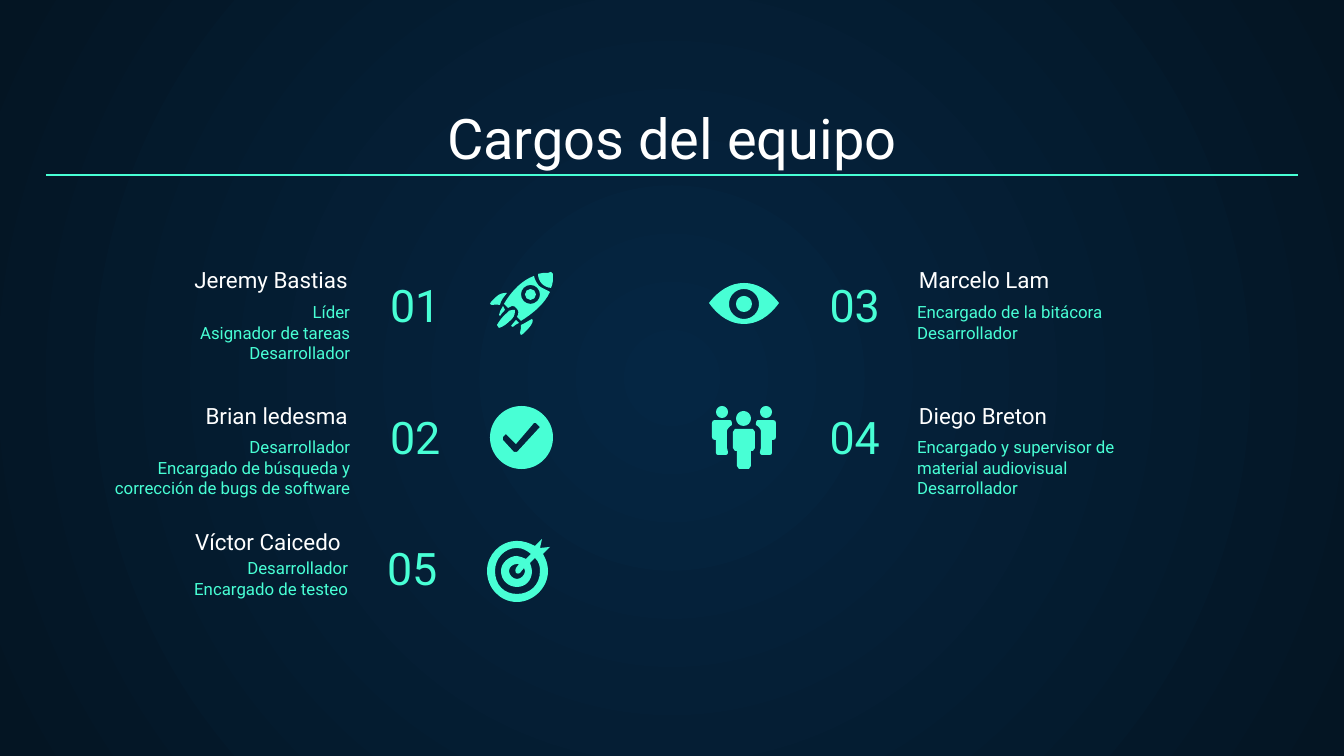
from lxml import etree
from pptx import Presentation
from pptx.dml.color import RGBColor
from pptx.enum.shapes import MSO_CONNECTOR
from pptx.enum.text import MSO_ANCHOR, MSO_AUTO_SIZE, PP_ALIGN
from pptx.oxml import parse_xml
from pptx.oxml.ns import qn
from pptx.util import Pt

EMU_PER_PX = 914400 / 134.4
MINT = RGBColor(0x48, 0xFF, 0xD5)
WHITE = RGBColor(0xFF, 0xFF, 0xFF)
CENTER_BLUE = RGBColor(0x05, 0x26, 0x43)
EDGE_BLUE = RGBColor(0x04, 0x15, 0x23)
FONT = "Roboto"
LEFT, CENTER, RIGHT = PP_ALIGN.LEFT, PP_ALIGN.CENTER, PP_ALIGN.RIGHT
TOP, BOTTOM = MSO_ANCHOR.TOP, MSO_ANCHOR.BOTTOM
NO_AUTOFIT = MSO_AUTO_SIZE.NONE
STRAIGHT = MSO_CONNECTOR.STRAIGHT
INSET = 13

LEFT_TEAM = [
    ("01", (377, 256), "Jeremy Bastias", (56, 278),
     ["Líder", "Asignador de tareas", "Desarrollador"], (67, 289)),
    ("02", (377, 388), "Brian ledesma", (56, 414),
     ["Desarrollador", "Encargado de búsqueda y corrección de bugs de software"], (67, 424)),
    ("05", (374, 519), "Víctor Caicedo", (49, 540),
     ["Desarrollador", "Encargado de testeo"], (65, 545)),
]
RIGHT_TEAM = [
    ("03", (720, 256), "Marcelo Lam", (906, 278),
     ["Encargado de la bitácora", "Desarrollador"], (904, 289)),
    ("04", (720, 388), "Diego Breton", (906, 414),
     ["Encargado y supervisor de material audiovisual", "Desarrollador"], (904, 424)),
]


def px(n):
    """Turn pixels into EMU."""
    return round(n * EMU_PER_PX)


def circle(x, y, d):
    """Return a circle in a box of side d as four cubic segments."""
    r = d / 2
    k, cx, cy = 0.55 * r, x + r, y + r
    return [(cx, y), (cx + k, y, x + d, cy - k, x + d, cy),
            (x + d, cy + k, cx + k, y + d, cx, y + d),
            (cx - k, y + d, x, cy + k, x, cy), (x, cy - k, cx - k, y, cx, y)]


def mirror(parts, axis):
    """Reflect an outline across a vertical axis."""
    return [tuple(v if i % 2 else 2 * axis - v for i, v in enumerate(part)) for part in parts]


def add_outline(shapes, *contours):
    """Add a filled outline of points (x, y) and cubics (x1, y1, x2, y2, x, y)."""
    builder = None
    for contour in contours:
        points = [(px(part[i]), px(part[i + 1]))
                  for part in contour for i in range(0, len(part), 2)]
        if builder is None:
            builder = shapes.build_freeform(*points[0])
        else:
            builder.move_to(*points[0])
        builder.add_line_segments(points[1:], close=True)
    sp = builder.convert_to_shape()
    lines = iter(list(sp._element.iter(qn("a:lnTo"))))
    for contour in contours:
        for part in contour[1:]:
            first = next(lines)
            if len(part) == 6:
                first.tag = qn("a:cubicBezTo")
                for line in (next(lines), next(lines)):
                    first.append(line[0])
                    line.getparent().remove(line)
    sp.shadow.inherit = False
    sp.fill.solid()
    sp.fill.fore_color.rgb = MINT
    sp.line.fill.background()


def set_text(sp, box, lines, size, color, align, anchor):
    """Place a text shape and format its paragraphs."""
    sp.left, sp.top, sp.width, sp.height = map(px, box)
    tf = sp.text_frame
    tf.word_wrap = True
    tf.auto_size = NO_AUTOFIT
    tf.vertical_anchor = anchor
    tf.margin_left = tf.margin_right = tf.margin_top = tf.margin_bottom = px(INSET)
    tf.text = "\n".join(lines)
    for p in tf.paragraphs:
        p.alignment = align
        p.space_before = Pt(0)
        p.font.name, p.font.size, p.font.bold = FONT, Pt(size), False
        p.font.color.rgb = color
        pPr = p._p.get_or_add_pPr()
        pPr.set("marL", "0")
        pPr.set("indent", "0")
        pPr.insert_element_before(pPr.makeelement(qn("a:buNone"), {}), "a:tabLst", "a:defRPr")


def add_text(s, *args):
    """Add a formatted text box."""
    set_text(s.shapes.add_textbox(0, 0, 0, 0), *args)


def add_member(s, member, bodies, name_align, number_align, roles_width):
    """Add the number, name and roles of one team member."""
    number, number_at, name, name_at, roles, roles_at = member
    add_text(s, (*number_at, 173, 89), [number], 24, MINT, number_align, BOTTOM)
    add_text(s, (*name_at, 305, 28), [name], 12, WHITE, name_align, BOTTOM)
    sp = bodies.pop(0) if bodies else s.shapes.add_textbox(0, 0, 0, 0)
    set_text(sp, (*roles_at, roles_width, 74), roles, 9, MINT, name_align, TOP)


def set_background(s):
    """Fill the background with a radial gradient."""
    bg = parse_xml(
        '<p:bg xmlns:p="http://schemas.openxmlformats.org/presentationml/2006/main" '
        'xmlns:a="http://schemas.openxmlformats.org/drawingml/2006/main"><p:bgPr><a:gradFill>'
        f'<a:gsLst><a:gs pos="0"><a:srgbClr val="{CENTER_BLUE}"/></a:gs>'
        f'<a:gs pos="100000"><a:srgbClr val="{EDGE_BLUE}"/></a:gs></a:gsLst>'
        '<a:path path="circle"><a:fillToRect l="50000" t="50000" r="50000" b="50000"/></a:path>'
        '</a:gradFill><a:effectLst/></p:bgPr></p:bg>')
    s._element.cSld.insert(0, bg)


def add_rule(s, x1, x2, y):
    """Add the line under the title."""
    line = s.shapes.add_connector(STRAIGHT, px(x1), px(y), px(x2), px(y))
    line.line.color.rgb = MINT
    line.line.width = Pt(0.75)
    etree.SubElement(line._element.spPr, qn("a:effectLst"))


def add_rocket(s):
    """Add the rocket icon as a group."""
    shapes = s.shapes.add_group_shape().shapes
    small_flames = [
        [(503, 306), (501, 310, 499, 312, 499, 315), (500, 316), (501, 314, 503, 312, 505, 310)],
        [(516, 320), (514, 322, 512, 325, 511, 326), (513, 327), (514, 326, 515, 325, 519, 323)]]
    flame = [(512, 310), (510, 310, 508, 311, 507, 313), (501, 318, 499, 322, 497, 325),
             (499, 328), (503, 327, 507, 324, 512, 319), (515, 316, 515, 312, 515, 310)]
    fins = [
        [(505, 293), (503, 293, 499, 294, 496, 297), (491, 302), (490, 304), (492, 305),
         (494, 305, 496, 304, 500, 305), (501, 300, 504, 297, 507, 293)],
        [(532, 319), (528, 321, 524, 324, 521, 325), (521, 328, 521, 330, 520, 333),
         (521, 335), (523, 334), (528, 329), (532, 325, 534, 320, 532, 319)]]
    nose = [(548, 273), (544, 273, 541, 273, 538, 274), (538, 277, 539, 281, 542, 284),
            (544, 286, 548, 288, 551, 288), (553, 284, 553, 280, 553, 274), (551, 272)]
    hull = [(534, 276), (523, 280, 512, 290, 504, 304), (508, 308),
            (509, 308, 511, 306, 512, 306), (514, 306, 516, 307, 516, 308),
            (519, 310, 519, 314, 517, 317), (521, 321), (532, 314, 544, 305, 550, 292),
            (547, 290, 543, 289, 539, 286), (536, 282, 535, 280, 534, 276)]
    for part in (*small_flames, flame, *fins, circle(525, 289, 11), nose):
        add_outline(shapes, part)
    add_outline(shapes, circle(521, 285, 19), hull)


def add_target(s):
    """Add the target icon with its arrow."""
    add_outline(
        s.shapes,
        [(517, 564), (519, 564), (516, 568), (515, 570, 515, 571, 516, 573),
         (517, 574, 519, 574, 520, 573), (524, 568), (525, 571),
         (525, 575, 521, 579, 517, 579), (513, 579, 509, 575, 509, 571),
         (509, 567, 513, 564, 517, 564)],
        [(517, 548), (523, 548, 527, 551, 531, 554), (526, 559),
         (523, 558, 520, 556, 517, 556), (509, 556, 501, 563, 501, 571),
         (501, 581, 509, 587, 517, 587), (525, 587, 532, 581, 532, 571),
         (532, 569, 531, 566, 530, 563), (535, 558), (539, 562, 540, 566, 540, 571),
         (540, 585, 530, 594, 517, 594), (504, 594, 495, 585, 495, 571),
         (495, 559, 504, 548, 517, 548)],
        [(542, 539), (535, 546), (529, 543, 524, 541, 517, 541),
         (500, 541, 487, 555, 487, 571), (487, 588, 500, 602, 517, 602),
         (533, 602, 548, 588, 548, 571), (548, 565, 546, 559, 543, 554),
         (550, 547), (540, 548)])


def add_people(s):
    """Add the icon of three people as a group."""
    shapes = s.shapes.add_group_shape().shapes
    head = circle(716, 406, 12)
    body = [(715, 420), (713, 420, 712, 421, 712, 423), (712, 437),
            (712, 439, 713, 440, 715, 440), (716, 440), (716, 453),
            (716, 454, 717, 455, 718, 455), (726, 455), (727, 455, 728, 454, 728, 453),
            (728, 452), (728, 450, 727, 449, 727, 448), (727, 431),
            (727, 429, 730, 426, 732, 425), (732, 423), (732, 421, 731, 420, 730, 420)]
    half = [(735, 429), (733, 432), (733, 448), (735, 451), (737, 451), (737, 466), (739, 469)]
    for part in (head, body, mirror(head, 744), mirror(body, 744),
                 half + mirror(half, 744)[::-1], circle(736, 411, 15)):
        add_outline(shapes, part)


def main():
    """Build the team roles slide."""
    prs = Presentation()
    prs.slide_width, prs.slide_height = px(1344), px(756)
    s = prs.slides.add_slide(prs.slide_layouts.get_by_name("Comparison"))
    set_background(s)
    set_text(s.shapes.title, (46, 95, 1252, 89), ["Cargos del equipo"], 30, WHITE, CENTER, BOTTOM)
    bodies = [sp for sp in s.placeholders if 1 <= sp.placeholder_format.idx <= 4]
    for member in RIGHT_TEAM:
        add_member(s, member, bodies, LEFT, RIGHT, 278)
    for member in LEFT_TEAM:
        add_member(s, member, bodies, RIGHT, LEFT, 296)
    add_rocket(s)
    add_outline(s.shapes,
                [(536, 423), (540, 427), (517, 452), (514, 452), (503, 440), (503, 437),
                 (506, 434), (516, 444), (534, 423)], circle(490, 406, 63))
    add_people(s)
    add_outline(s.shapes, circle(736, 296, 16), circle(729, 289, 30),
                [(744, 283), (731, 283, 719, 290, 709, 303), (719, 317, 731, 324, 744, 324),
                 (757, 324, 769, 317, 779, 303), (769, 290, 757, 283, 744, 283)])
    add_rule(s, 46, 1298, 175)
    add_target(s)
    prs.save("out.pptx")


if __name__ == "__main__":
    main()
